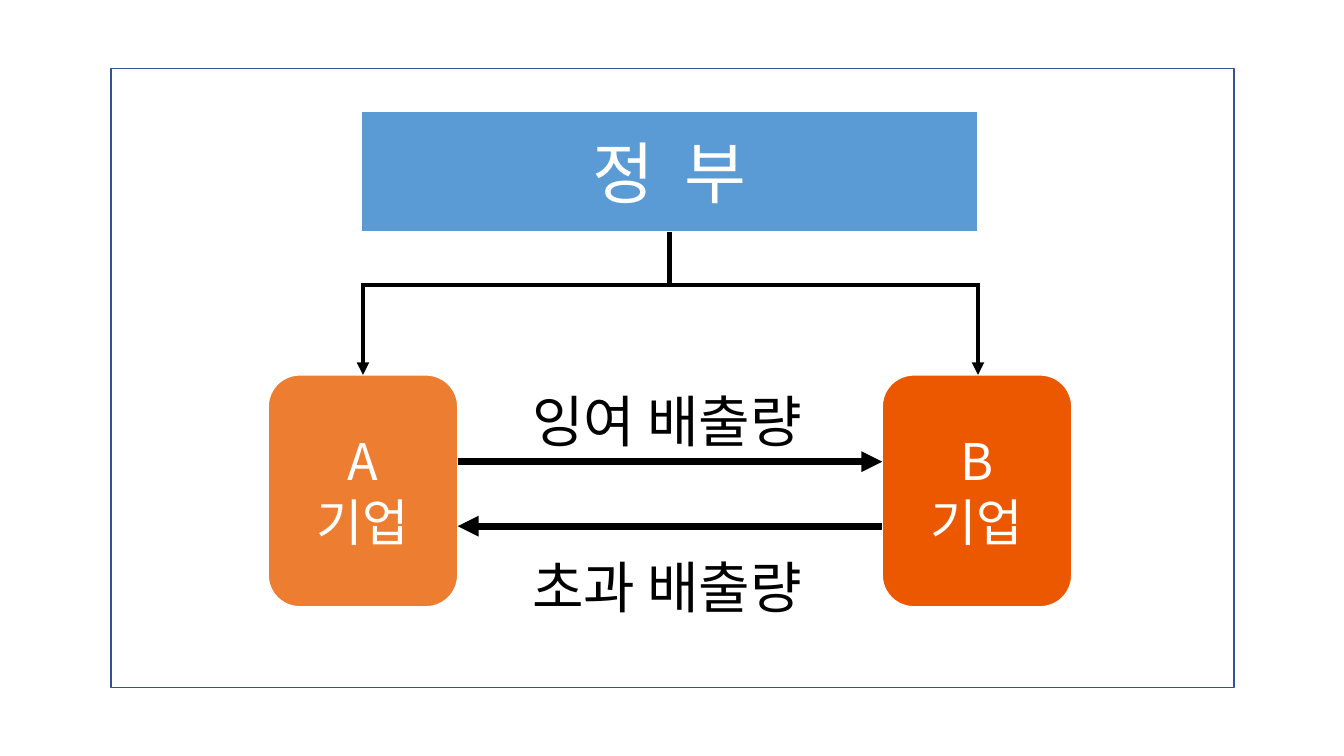
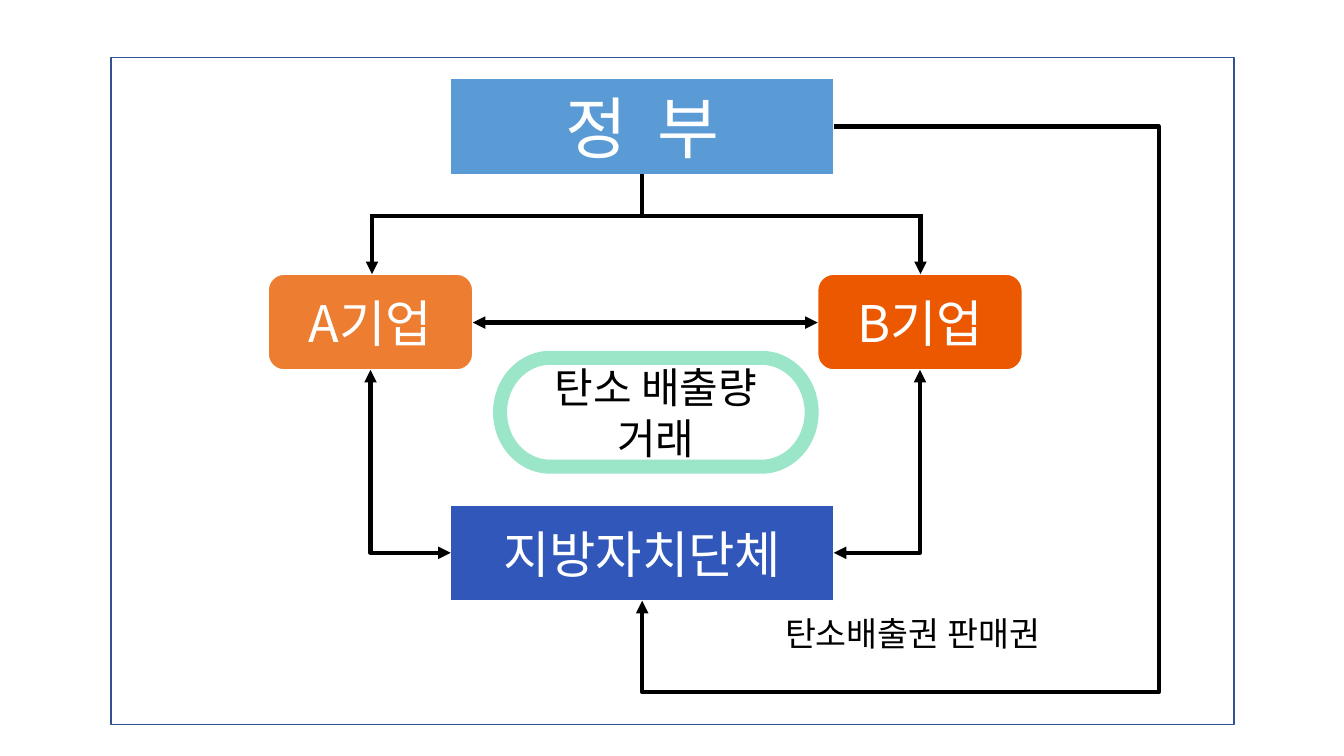
from pptx import Presentation
from pptx.dml.color import RGBColor
from pptx.enum.shapes import MSO_CONNECTOR, MSO_SHAPE
from pptx.enum.text import MSO_ANCHOR, PP_ALIGN
from pptx.oxml.ns import qn
from pptx.util import Pt
from lxml.etree import SubElement

PX = 9144  # EMU, 100 px to the inch
SLIDE_W, SLIDE_H = 1333, 750
FONT = "Noto Sans CJK KR"

WHITE = RGBColor(0xFF, 0xFF, 0xFF)
BLACK = RGBColor(0x00, 0x00, 0x00)
FRAME_BLUE = RGBColor(0x31, 0x53, 0x8F)
SKY = RGBColor(0x5B, 0x9B, 0xD5)
ORANGE = RGBColor(0xED, 0x7D, 0x31)
DEEP_ORANGE = RGBColor(0xEB, 0x58, 0x00)
ROYAL = RGBColor(0x30, 0x57, 0xB9)
MINT = RGBColor(0x9B, 0xE5, 0xC8)

RECT = MSO_SHAPE.RECTANGLE
PROCESS = MSO_SHAPE.FLOWCHART_PROCESS
ROUNDED = MSO_SHAPE.FLOWCHART_ALTERNATE_PROCESS
PILL = MSO_SHAPE.FLOWCHART_TERMINATOR

TOP, LEFT, BOTTOM, RIGHT = range(4)  # connection sites of a box

# Boxes: name -> (shape, fill, (left, top, width, height), text, size)
# Tree: trunk x, trunk top, bar y, branch xs, arrow tip y
# Arrows: (from, to, width, head, tail)
# Elbows: (from box, site, to box, site, preset, adjustments, head, tail)
SLIDES = [
    {
        "frame": (110, 68, 1114, 614),
        "boxes": {
            "government": (PROCESS, SKY, (358, 110, 612, 120), "정  부", 48),
            "company_a": (ROUNDED, ORANGE, (266, 372, 188, 230), "A\n기업", 36),
            "company_b": (ROUNDED, DEEP_ORANGE, (875, 372, 188, 230), "B\n기업", 36),
        },
        "tree": (664, 230, 283, (360, 970), 372),
        "arrows": [
            ((454, 458), (875, 458), 5, False, True),
            ((454, 522), (875, 522), 5, True, False),
        ],
        "elbows": [],
        "labels": [
            ((472, 379, 379, 77), "잉여 배출량", 40),
            ((472, 543, 379, 77), "초과 배출량", 40),
        ],
    },
    {
        "frame": (110, 57, 1114, 662),
        "boxes": {
            "government": (PROCESS, SKY, (447, 78, 380, 95), "정  부", 48),
            "company_a": (ROUNDED, ORANGE, (266, 272, 203, 95), "A기업", 36),
            "company_b": (ROUNDED, DEEP_ORANGE, (811, 272, 203, 95), "B기업", 36),
            "municipality": (PROCESS, ROYAL, (447, 501, 380, 95), "지방자치단체", 36),
        },
        "tree": (637, 173, 214, (369, 913), 272),
        "arrows": [((469, 320), (811, 320), 3, True, True)],
        "elbows": [
            ("municipality", RIGHT, "company_b", BOTTOM, "bentConnector2", (), True, True),
            ("municipality", LEFT, "company_a", BOTTOM, "bentConnector2", (), True, True),
            ("government", RIGHT, "municipality", BOTTOM, "bentConnector4",
             (-169700, 119300), False, True),
        ],
        "labels": [((743, 603, 324, 50), "탄소배출권 판매권", 24)],
        "ring": ((496, 355, 309, 108), "탄소 배출량\n거래", 30),
    },
]


def px(*lengths):
    return [n * PX for n in lengths]


def write(sp, text, size, color):
    tf = sp.text_frame
    tf.word_wrap = True
    tf.text = text
    for p in tf.paragraphs:
        p.alignment = PP_ALIGN.CENTER
        p.font.size = Pt(size)
        p.font.color.rgb = color
        p.font.name = FONT
        props = p._p.get_or_add_pPr().find(qn("a:defRPr"))
        SubElement(props, qn("a:ea"), typeface=FONT)


def add_box(s, shape, fill, line, box, line_width=1):
    sp = s.shapes.add_shape(shape, *px(*box))
    sp.shadow.inherit = False
    if fill is None:
        sp.fill.background()
    else:
        sp.fill.solid()
        sp.fill.fore_color.rgb = fill
    sp.line.color.rgb = line
    sp.line.width = Pt(line_width)
    sp.text_frame.vertical_anchor = MSO_ANCHOR.MIDDLE
    return sp


def add_line(s, start, end, width=3, head=False, tail=False, kind=MSO_CONNECTOR.STRAIGHT):
    line = s.shapes.add_connector(kind, *px(*start, *end))
    line.line.color.rgb = BLACK
    line.line.width = Pt(width)
    ln = line.line._get_or_add_ln()
    for tag, wanted in (("a:headEnd", head), ("a:tailEnd", tail)):
        if wanted:
            SubElement(ln, qn(tag), type="triangle")
    SubElement(line._element.spPr, qn("a:effectLst"))
    return line


def add_elbow(s, source, source_site, target, target_site, preset, adjustments, head, tail):
    line = add_line(s, (0, 0), (0, 0), 3, head, tail, MSO_CONNECTOR.ELBOW)
    line.begin_connect(source, source_site)
    line.end_connect(target, target_site)
    geom = line._element.spPr.find(qn("a:prstGeom"))
    geom.set("prst", preset)
    guides = geom.find(qn("a:avLst"))
    for i, value in enumerate(adjustments, 1):
        SubElement(guides, qn("a:gd"), name=f"adj{i}", fmla=f"val {value}")


def add_tree(s, trunk_x, top, bar_y, branches, tip_y):
    add_line(s, (trunk_x, top), (trunk_x, bar_y))
    add_line(s, (branches[0] - 2, bar_y), (branches[-1] + 2, bar_y))
    for x in branches:
        add_line(s, (x, bar_y), (x, tip_y), tail=True)


def build_slide(prs, content):
    s = prs.slides.add_slide(prs.slide_layouts[6])
    add_box(s, RECT, WHITE, FRAME_BLUE, content["frame"])
    boxes = {}
    for name, (shape, fill, box, text, size) in content["boxes"].items():
        boxes[name] = add_box(s, shape, fill, WHITE, box)
        write(boxes[name], text, size, WHITE)
    add_tree(s, *content["tree"])
    for arrow in content["arrows"]:
        add_line(s, *arrow)
    for source, source_site, target, target_site, *style in content["elbows"]:
        add_elbow(s, boxes[source], source_site, boxes[target], target_site, *style)
    for box, text, size in content["labels"]:
        write(s.shapes.add_textbox(*px(*box)), text, size, BLACK)
    if "ring" in content:
        box, text, size = content["ring"]
        write(add_box(s, PILL, None, MINT, box, 10), text, size, BLACK)


def main():
    prs = Presentation()
    prs.slide_width, prs.slide_height = px(SLIDE_W, SLIDE_H)
    for content in SLIDES:
        build_slide(prs, content)
    prs.save("out.pptx")


if __name__ == "__main__":
    main()
